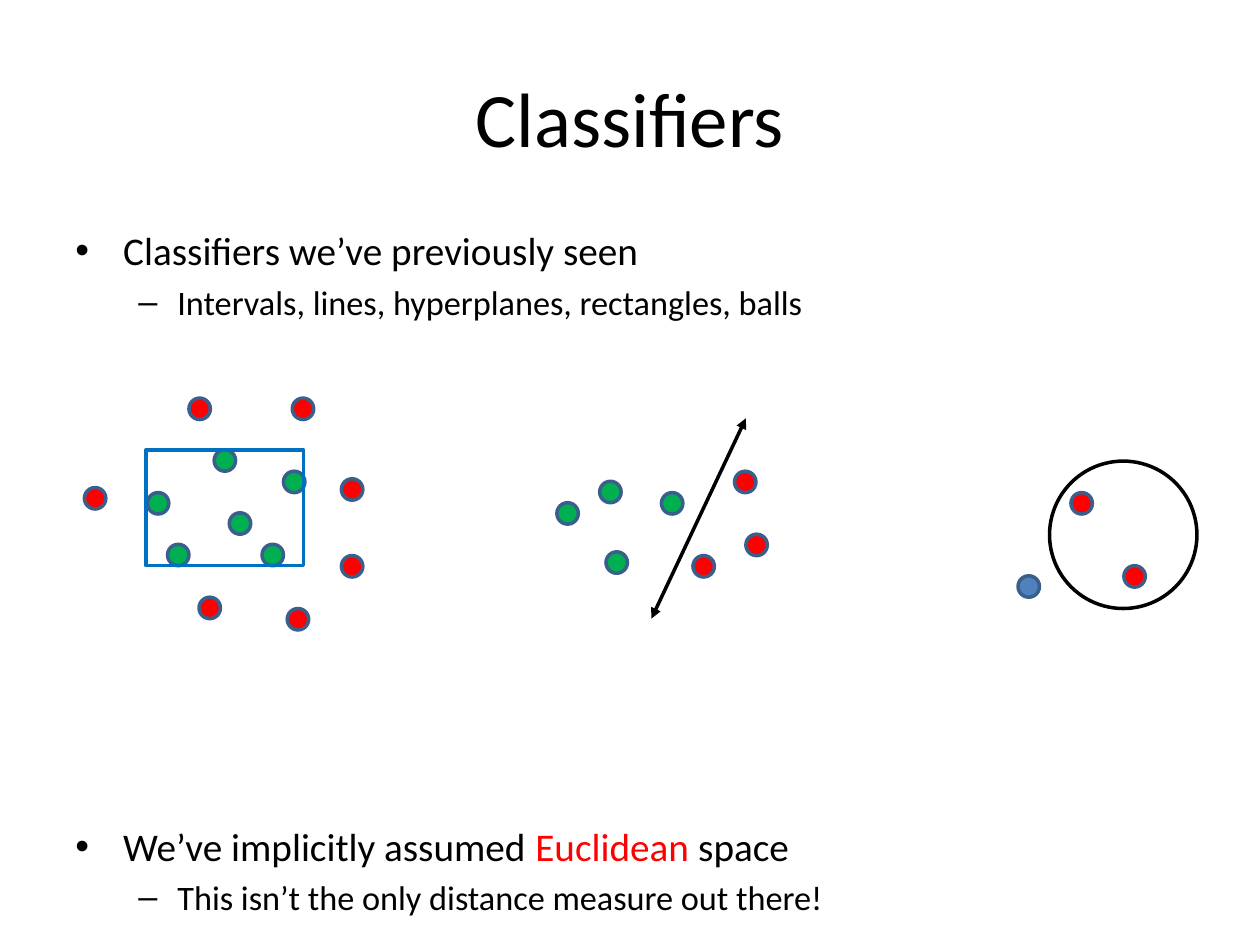
import pptx
import pptx.util
import pptx.dml.color
import pptx.enum.shapes
import pptx.enum.text
import pptx.oxml
import pptx.oxml.ns
import lxml.etree

Inches = pptx.util.Inches
Pt = pptx.util.Pt
SHAPE = pptx.enum.shapes.MSO_SHAPE
ALIGN = pptx.enum.text.PP_ALIGN
ANCHOR = pptx.enum.text.MSO_ANCHOR
qn = pptx.oxml.ns.qn

COLORS = {
    "text": "000000",
    "positive": "00B050",
    "negative": "FF0000",
    "unlabeled": "4F81BD",
    "dot_edge": "3A5F8C",
    "rectangle": "0070C0",
}
LEVELS = [
    {"size": 22.4, "margin": 0.38, "hang": 0.38, "bullet": "•"},
    {"size": 19.6, "margin": 0.81, "hang": 0.31, "bullet": "–"},
]


class ClassifierSlide:
    font_name = "Calibri"
    line_width = 2
    dot_size = 0.17

    def __init__(self, slide):
        self.slide = slide

    def color(self, name):
        return pptx.dml.color.RGBColor.from_string(COLORS[name])

    def style_font(self, font, size, color="text"):
        font.name = self.font_name
        font.size = Pt(size)
        font.color.rgb = self.color(color)

    def text_frame(self, left, top, width, height, anchor):
        box = self.slide.shapes.add_textbox(
            Inches(left), Inches(top), Inches(width), Inches(height))
        frame = box.text_frame
        frame.word_wrap = True
        frame.vertical_anchor = anchor
        return frame

    def title(self, text):
        frame = self.text_frame(0.5, 0.3, 9, 1.25, ANCHOR.MIDDLE)
        heading = frame.paragraphs[0]
        heading.text = text
        heading.alignment = ALIGN.CENTER
        self.style_font(heading.font, 44)

    def bullets(self, items):
        frame = self.text_frame(0.5, 1.75, 9, 4.95, ANCHOR.TOP)
        for index, (level, space_before, runs) in enumerate(items):
            item = frame.add_paragraph() if index else frame.paragraphs[0]
            style = LEVELS[level]
            item.level = level
            item.space_before = Pt(space_before)
            properties = item._p.get_or_add_pPr()
            properties.set("marL", str(Inches(style["margin"])))
            properties.set("indent", str(-Inches(style["hang"])))
            bullet_font = lxml.etree.SubElement(properties, qn("a:buFont"))
            bullet_font.set("typeface", "Arial")
            bullet = lxml.etree.SubElement(properties, qn("a:buChar"))
            bullet.set("char", style["bullet"])
            self.style_font(item.font, style["size"])
            for text, color in runs:
                run = item.add_run()
                run.text = text
                self.style_font(run.font, style["size"], color)

    def shape(self, kind, left, top, width, height, edge, fill=None):
        shape = self.slide.shapes.add_shape(
            kind, Inches(left), Inches(top), Inches(width), Inches(height))
        shape.shadow.inherit = False
        if fill:
            shape.fill.solid()
            shape.fill.fore_color.rgb = self.color(fill)
        else:
            shape.fill.background()
        shape.line.color.rgb = self.color(edge)
        shape.line.width = Pt(self.line_width)

    def dots(self, label, positions):
        for left, top in positions:
            self.shape(SHAPE.OVAL, left, top, self.dot_size, self.dot_size,
                       "dot_edge", label)

    def double_arrow(self, start, end):
        arrow = self.slide.shapes.add_connector(
            pptx.enum.shapes.MSO_CONNECTOR.STRAIGHT,
            *(Inches(value) for value in (*start, *end)))
        arrow.line.color.rgb = self.color("text")
        arrow.line.width = Pt(self.line_width)
        line = arrow.line._get_or_add_ln()
        for tip in ("a:headEnd", "a:tailEnd"):
            lxml.etree.SubElement(line, qn(tip)).set("type", "triangle")
        lxml.etree.SubElement(arrow._element.spPr, qn("a:effectLst"))


def main():
    deck = pptx.Presentation()
    deck.slide_width = Inches(10)
    deck.slide_height = Inches(7.5)
    page = ClassifierSlide(deck.slides.add_slide(deck.slide_layouts[6]))

    page.title("Classifiers")
    page.bullets([
        (0, 0, [("Classifiers we’ve previously seen", "text")]),
        (1, 4, [("Intervals, lines, hyperplanes, rectangles, balls", "text")]),
        (0, 286, [("We’ve implicitly assumed ", "text"),
                  ("Euclidean", "negative"),
                  (" space", "text")]),
        (1, 4, [("This isn’t the only distance measure out there!", "text")]),
    ])

    page.dots("positive", [(2.08, 4.32), (2.25, 3.74), (1.82, 4.07),
                           (1.7, 3.57), (1.17, 3.91), (1.33, 4.32)])
    page.shape(SHAPE.RECTANGLE, 1.16, 3.57, 1.25, 0.92, "rectangle")
    page.dots("negative", [(1.5, 3.16), (0.67, 3.87), (2.32, 3.16), (2.71, 3.8),
                           (2.28, 4.83), (2.71, 4.41), (1.58, 4.74)])

    page.dots("positive", [(4.81, 4.38), (4.42, 3.99), (5.25, 3.91), (4.76, 3.82)])
    page.dots("negative", [(5.83, 3.74), (5.5, 4.41), (5.92, 4.24)])
    page.double_arrow((5.17, 4.91), (5.92, 3.32))

    page.dots("negative", [(8.5, 3.91), (8.92, 4.49)])
    page.dots("unlabeled", [(8.08, 4.57)])
    page.shape(SHAPE.OVAL, 8.33, 3.66, 1.17, 1.17, "text")

    deck.save("out.pptx")


if __name__ == "__main__":
    main()
